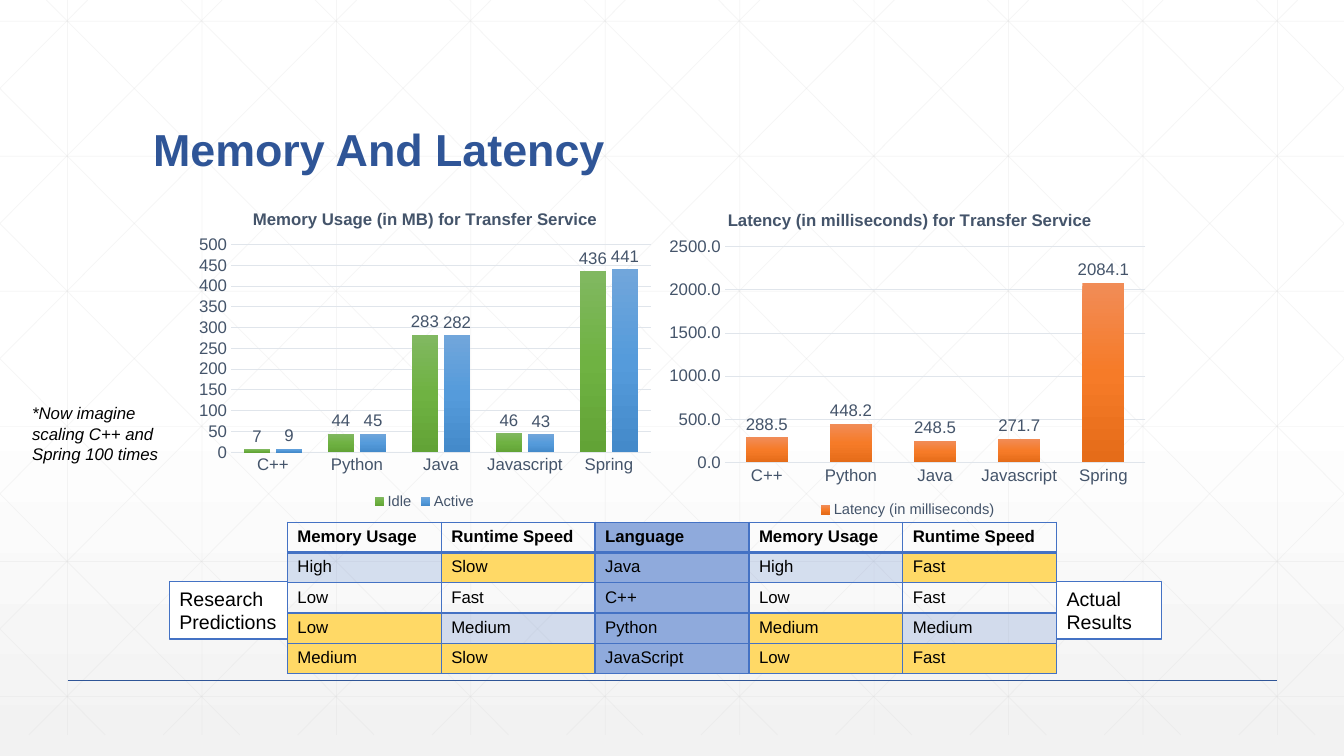
from lxml.etree import SubElement
from pptx import Presentation
from pptx.chart.data import CategoryChartData
from pptx.dml.color import RGBColor
from pptx.enum.chart import XL_CHART_TYPE, XL_LABEL_POSITION, XL_LEGEND_POSITION, XL_TICK_MARK
from pptx.enum.shapes import MSO_CONNECTOR, MSO_SHAPE
from pptx.enum.text import MSO_ANCHOR
from pptx.oxml import parse_xml
from pptx.oxml.ns import nsdecls, qn
from pptx.util import Inches, Pt

COLORS = {
    "black": "000000", "white": "FFFFFF", "navy": "2F5597", "blue": "4472C4",
    "slate": "44546A", "grid": "E0E5EB", "lattice": "D9D9D9",
    "language": "8FAADC", "changed": "FFD966",
}
PAGE = [(0, "FFFFFF"), (53, "FFFFFF"), (100, "F2F2F2")]
GREEN = [(0, "81B861"), (50, "6FB242"), (100, "62A336")]
SKY = [(0, "71A6DB"), (50, "559BDB"), (100, "448ACA")]
ORANGE = [(0, "F18C57"), (50, "F67B28"), (100, "E56C19")]
LANGUAGES = ["C++", "Python", "Java", "Javascript", "Spring"]
HEADER = ["Memory Usage", "Runtime Speed", "Language", "Memory Usage", "Runtime Speed"]
ROWS = [
    (["High", "Slow", "Java", "High", "Fast"], "TYLTY"),
    (["Low", "Fast", "C++", "Low", "Fast"], "--L--"),
    (["Low", "Medium", "Python", "Medium", "Medium"], "YTLYT"),
    (["Medium", "Slow", "JavaScript", "Low", "Fast"], "YYLYY"),
]
FILLS = {"L": "language", "Y": "changed", "T": "blue"}


def rgb(name):
    """Return the named colour."""
    return RGBColor.from_string(COLORS[name])


def set_font(font, size, color="black", bold=False, italic=False):
    """Apply the Arial font settings."""
    font.name, font.size = "Arial", Pt(size)
    font.bold, font.italic = bold, italic
    font.color.rgb = rgb(color)


def set_alpha(element, percent):
    """Make the colours inside an element translucent."""
    for clr in element.iter(qn("a:srgbClr")):
        SubElement(clr, qn("a:alpha"), val=str(percent * 1000))


def set_gradient(fill, element, stops):
    """Give a fill a top-to-bottom gradient."""
    fill.gradient()
    fill.gradient_angle = 270
    gs_list = next(element.iter(qn("a:gsLst")))
    for gs in list(gs_list):
        gs_list.remove(gs)
    for pos, color in stops:
        gs = SubElement(gs_list, qn("a:gs"), pos=str(pos * 1000))
        SubElement(gs, qn("a:srgbClr"), val=color)


def add_line(s, start, end, color, width, alpha=100):
    """Add a straight line between two points."""
    line = s.shapes.add_connector(MSO_CONNECTOR.STRAIGHT, *map(Inches, start + end))
    line.line.color.rgb = rgb(color)
    line.line.width = Pt(width)
    sp_pr = line._element.spPr
    if alpha < 100:
        set_alpha(sp_pr, alpha)
    SubElement(sp_pr, qn("a:effectLst"))


def add_lattice(s):
    """Draw the faint background grid and its diagonals."""
    width, bottom, run, step = 13.33, 7.29, 7.25, 4 / 3
    lines = [((0.67 + step * i, 0), (0.67 + step * i, bottom)) for i in range(10)]
    lines += [((0, 0.21 + 1.34 * i), (width, 0.21 + 1.34 * i)) for i in range(6)]
    for i in range(-5, 10):
        x = 0.46 + step * i
        left, right = max(x, 0), min(x + run, width)
        y1, y2 = ((edge - x) * bottom / run for edge in (left, right))
        lines.append(((left, y1), (right, y2)))
        lines.append(((width - left, y1), (width - right, y2)))
    for start, end in lines:
        add_line(s, start, end, "lattice", 0.5, 25)


def add_text(s, box, lines, size, color="black", bold=False, italic=False):
    """Add a wrapping text box and return it."""
    sp = s.shapes.add_textbox(*map(Inches, box))
    fill_text(sp.text_frame, lines, size, color, bold, italic)
    return sp


def fill_text(tf, lines, size, color="black", bold=False, italic=False):
    """Write one paragraph per line."""
    tf.word_wrap = True
    tf.text = "\n".join(lines)
    for p in tf.paragraphs:
        set_font(p.font, size, color, bold, italic)


def add_label(s, box, lines):
    """Add an outlined white label beside the table."""
    sp = s.shapes.add_shape(MSO_SHAPE.RECTANGLE, *map(Inches, box))
    sp.shadow.inherit = False
    sp.fill.solid()
    sp.fill.fore_color.rgb = rgb("white")
    sp.line.color.rgb = rgb("blue")
    sp.line.width = Pt(1)
    fill_text(sp.text_frame, lines, 14)
    for p in sp.text_frame.paragraphs:
        p.alignment = 1


def set_layout(parent, index, **values):
    """Place a chart part by fractions of the chart size."""
    for old in parent.findall(qn("c:layout")):
        parent.remove(old)
    layout = parse_xml(f"<c:layout {nsdecls('c')}><c:manualLayout/></c:layout>")
    for tag, value in values.items():
        SubElement(layout[0], qn(f"c:{tag}"), val=str(value))
    parent.insert(index, layout)


def add_columns(s, box, title, series, number_format, top, unit, title_at, plot):
    """Add a clustered column chart with gradient bars."""
    data = CategoryChartData(number_format=number_format)
    data.categories = LANGUAGES
    for name, values, _ in series:
        data.add_series(name, values)
    chart = s.shapes.add_chart(XL_CHART_TYPE.COLUMN_CLUSTERED, *map(Inches, box), data).chart
    set_font(chart.font, 10)
    chart.has_title = True
    tf = chart.chart_title.text_frame
    tf.text = title
    set_font(tf.paragraphs[0].font, 12, "slate", bold=True)
    chart.has_legend = True
    chart.legend.position = XL_LEGEND_POSITION.BOTTOM
    chart.legend.include_in_layout = False
    set_font(chart.legend.font, 10.5, "slate")

    for axis in (chart.category_axis, chart.value_axis):
        axis.major_tick_mark = axis.minor_tick_mark = XL_TICK_MARK.NONE
        set_font(axis.tick_labels.font, 12, "slate")
    value_axis = chart.value_axis
    value_axis.minimum_scale, value_axis.maximum_scale = 0, top
    value_axis.major_unit = unit
    value_axis.tick_labels.number_format = number_format
    value_axis.tick_labels.number_format_is_linked = False
    value_axis.format.line.fill.background()
    for target in (chart.category_axis, value_axis.major_gridlines):
        target.format.line.color.rgb = rgb("grid")
        target.format.line.width = Pt(0.75)

    bars = chart.plots[0]
    bars.vary_by_categories = False
    bars.gap_width, bars.overlap = 100, -24
    for ser, (_, _, stops) in zip(bars.series, series):
        set_gradient(ser.format.fill, ser._element, stops)
        labels = ser.data_labels
        labels.show_value = True
        labels.position = XL_LABEL_POSITION.OUTSIDE_END
        labels.number_format, labels.number_format_is_linked = number_format, False
        set_font(labels.font, 12, "slate")

    x, y = title_at
    set_layout(chart.chart_title._element, 1, xMode="edge", yMode="edge", x=x, y=y)
    x, y, w, h = plot
    set_layout(chart._chartSpace.chart.plotArea, 0, layoutTarget="inner",
               xMode="edge", yMode="edge", x=x, y=y, w=w, h=h)


def set_borders(cell, widths):
    """Draw the four cell borders with widths in points."""
    tc_pr = cell._tc.get_or_add_tcPr()
    for i, (side, width) in enumerate(widths.items()):
        tc_pr.insert(i, parse_xml(
            f'<a:ln{side} {nsdecls("a")} w="{Pt(width)}"><a:solidFill>'
            f'<a:srgbClr val="{COLORS["blue"]}"/></a:solidFill></a:ln{side}>'))


def add_comparison(s, box):
    """Add the table of predictions and results."""
    rows = [(HEADER, "--L--")] + ROWS
    table = s.shapes.add_table(len(rows), len(HEADER), *map(Inches, box)).table
    table.first_row = table.horz_banding = False
    for i, (texts, codes) in enumerate(rows):
        for j, (text, code) in enumerate(zip(texts, codes)):
            cell = table.cell(i, j)
            fill_text(cell.text_frame, [text], 12, bold=i == 0)
            if code in FILLS:
                cell.fill.solid()
                cell.fill.fore_color.rgb = rgb(FILLS[code])
            else:
                cell.fill.background()
            if code == "T":
                set_alpha(cell._tc.tcPr, 20)
            set_borders(cell, {"L": 1, "R": 1, "T": 2 if i == 1 else 1, "B": 2 if i == 0 else 1})


def main():
    """Build the slide and save it."""
    prs = Presentation()
    prs.slide_width, prs.slide_height = Inches(13.33), Inches(7.5)
    s = prs.slides.add_slide(prs.slide_layouts[6])
    set_gradient(s.background.fill, s.element, PAGE)
    add_lattice(s)
    add_line(s, (0.67, 6.75), (12.67, 6.75), "navy", 1)
    title = add_text(s, (1.42, 0.55, 10.5, 1.25), ["Memory And Latency"], 32, "navy", bold=True)
    title.text_frame.vertical_anchor = MSO_ANCHOR.BOTTOM
    title.text_frame.paragraphs[0].line_spacing = 0.9
    add_columns(s, (1.87, 1.88, 4.68, 3.22), "Memory Usage (in MB) for Transfer Service",
                [("Idle", [7, 44, 283, 46, 436], GREEN), ("Active", [9, 45, 282, 43, 441], SKY)],
                "0", 500, 50, (0.13, 0.05), (0.09, 0.17, 0.89, 0.64))
    add_columns(s, (6.55, 1.89, 4.91, 3.29), "Latency (in milliseconds) for Transfer Service",
                [("Latency (in milliseconds)", [288.5, 448.2, 248.5, 271.7, 2084.1], ORANGE)],
                "0.0", 2500, 500, (0.13, 0.05), (0.13, 0.17, 0.85, 0.65))
    add_comparison(s, (2.85, 5.18, 7.63, 1.44))
    add_label(s, (1.68, 5.77, 1.17, 0.57), ["Research", "Predictions"])
    add_label(s, (10.48, 5.77, 1.04, 0.57), ["Actual", "Results"])
    add_text(s, (0.22, 3.95, 1.52, 0.71), ["*Now imagine scaling C++ and Spring 100 times"], 12, italic=True)
    prs.save("out.pptx")


if __name__ == "__main__":
    main()
